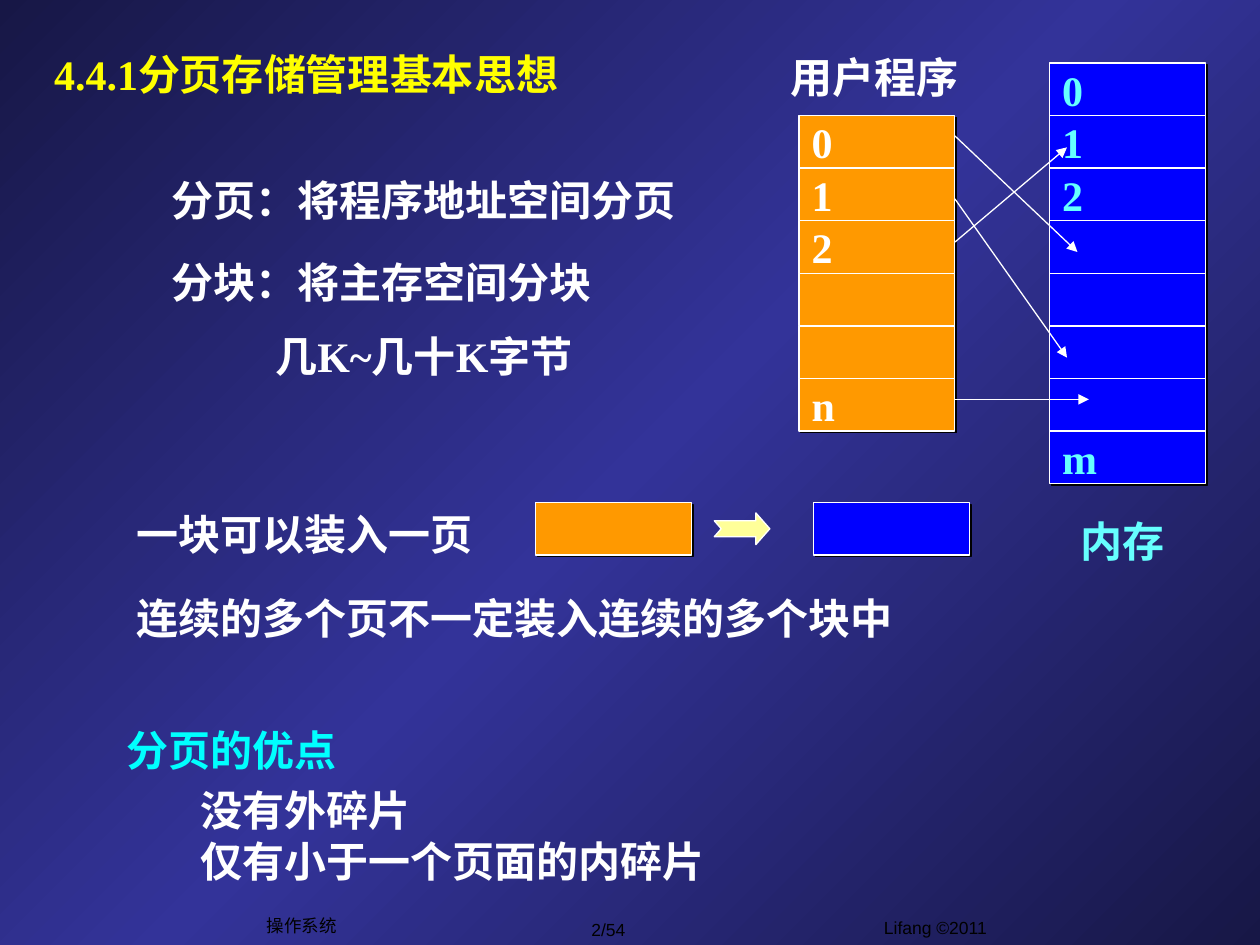
import copy
from lxml import etree
from pptx import Presentation
from pptx import util as u
from pptx.dml.color import RGBColor
from pptx.enum import shapes, text
from pptx.oxml.ns import qn


def rgb(value):
    return RGBColor.from_string(value)


def put_text(tf, content, color="FFFFFF", size=24, font="Times New Roman", align=None):
    tf.text = content
    for p in tf.paragraphs:
        p.alignment = align
        for r in p.runs:
            r.font.name, r.font.size = font, u.Pt(size)
            r.font.bold = size == 24
            r.font.color.rgb = rgb(color)


prs = Presentation()
prs.slide_width, prs.slide_height = u.Cm(25.4), u.Cm(19.05)
s = prs.slides.add_slide(prs.slide_layouts[6])

# Diagonal background gradient: dark, bright, dark
fill = s.background.fill
fill.gradient()
fill.gradient_angle = 135
stop_list = s._element.find(".//" + qn("a:gsLst"))
stop_list.append(copy.deepcopy(stop_list[0]))
for stop, (pos, color) in zip(fill.gradient_stops,
                              [(0, "171746"), (0.5, "333399"), (1, "171746")]):
    stop.position = pos
    stop.color.rgb = rgb(color)

# Title and body text: left, top, width, height, color, wording
WHITE, CYAN, AQUA = "FFFFFF", "00FFFF", "66FFFF"
labels = [
    (0.84, 0.64, 21.59, 1.7, "FFFF00", "4.4.1分页存储管理基本思想"),
    (3.2, 3.4, 10.8, 1.27, WHITE, "分页：将程序地址空间分页"),
    (3.2, 5.05, 9.1, 1.27, WHITE, "分块：将主存空间分块"),
    (5.3, 6.53, 7.5, 1.27, WHITE, "几K~几十K字节"),
    (2.51, 10.13, 7.4, 1.27, WHITE, "一块可以装入一页"),
    (2.51, 11.81, 15.9, 1.27, WHITE, "连续的多个页不一定装入连续的多个块中"),
    (2.31, 14.48, 4.9, 1.27, CYAN, "分页的优点"),
    (3.8, 15.7, 10.8, 2.29, WHITE, "没有外碎片\n仅有小于一个页面的内碎片"),
    (15.69, 0.91, 4, 1.27, WHITE, "用户程序"),
    (21.54, 10.26, 2.35, 1.27, AQUA, "内存"),
]
for i, (x, y, w, h, color, content) in enumerate(labels):
    tf = s.shapes.add_textbox(u.Cm(x), u.Cm(y), u.Cm(w), u.Cm(h)).text_frame
    tf.word_wrap = True
    if i == 0:
        tf.vertical_anchor = text.MSO_ANCHOR.MIDDLE
    put_text(tf, content, color)

# Pages and memory blocks, then the single page and block below
ORANGE, BLUE = "FF9900", "0000FF"
CELL_W, CELL_H = 3.14, 1.06
columns = [
    (16.11, 2.33, ORANGE, WHITE, ["0", "1", "2", "", "", "n"]),
    (21.16, 1.27, BLUE, AQUA, ["0", "1", "2", "", "", "", "", "m"]),
    (10.8, 10.13, ORANGE, WHITE, [""]),
    (16.4, 10.13, BLUE, AQUA, [""]),
]
for x, y, color, text_color, cells in columns:
    for row, content in enumerate(cells):
        sp = s.shapes.add_shape(shapes.MSO_SHAPE.RECTANGLE, u.Cm(x),
                                u.Cm(y + row * CELL_H), u.Cm(CELL_W), u.Cm(CELL_H))
        sp.fill.solid()
        sp.fill.fore_color.rgb = rgb(color)
        sp.line.color.rgb = rgb(WHITE)
        sp.line.width = u.Pt(0.75)
        # Hard black shadow to the lower right
        sp.shadow.inherit = False
        shadow = etree.SubElement(sp._element.spPr.find(qn("a:effectLst")),
                                  qn("a:outerShdw"), dist=str(u.Pt(1.4)),
                                  dir="2700000", algn="ctr", rotWithShape="0")
        etree.SubElement(shadow, qn("a:srgbClr"), val="000000")
        if content:
            sp.text_frame.vertical_anchor = text.MSO_ANCHOR.MIDDLE
            put_text(sp.text_frame, content, text_color, align=text.PP_ALIGN.LEFT)

# Notched arrow from page to block
sp = s.shapes.add_shape(shapes.MSO_SHAPE.NOTCHED_RIGHT_ARROW,
                        u.Cm(14.4), u.Cm(10.34), u.Cm(1.12), u.Cm(0.64))
sp.adjustments[0], sp.adjustments[1] = 0.5, 0.44
sp.fill.solid()
sp.fill.fore_color.rgb = rgb("FFFF99")
sp.line.color.rgb = rgb(WHITE)
sp.line.width = u.Pt(0.75)
sp.shadow.inherit = False

# Mapping arrows from pages to blocks: start y, end x, end y
for y1, x2, y2 in [(2.74, 21.72, 5.08), (4.01, 21.51, 7.21),
                   (4.88, 21.51, 2.97), (8.05, 21.95, 8.05)]:
    cx = s.shapes.add_connector(shapes.MSO_CONNECTOR.STRAIGHT,
                                u.Cm(19.25), u.Cm(y1), u.Cm(x2), u.Cm(y2))
    cx.line.color.rgb = rgb(WHITE)
    cx.line.width = u.Pt(0.75)
    sp_pr = cx._element.spPr
    etree.SubElement(sp_pr.find(qn("a:ln")), qn("a:tailEnd"), type="triangle")
    etree.SubElement(sp_pr, qn("a:effectLst"))

# Footer
TOP, MIDDLE = text.MSO_ANCHOR.TOP, text.MSO_ANCHOR.MIDDLE
for x, y, w, h, anchor, content in [(14.83, 18.36, 8.05, 0.89, TOP, "Lifang ©2011"),
                                    (10.97, 18.39, 2.59, 0.69, MIDDLE, "2/54"),
                                    (4.98, 18.31, 2.21, 0.69, MIDDLE, "操作系统")]:
    tf = s.shapes.add_textbox(u.Cm(x), u.Cm(y), u.Cm(w), u.Cm(h)).text_frame
    tf.word_wrap = True
    tf.vertical_anchor = anchor
    put_text(tf, content, "000000", 10, "Arial", text.PP_ALIGN.CENTER)

prs.save("out.pptx")
